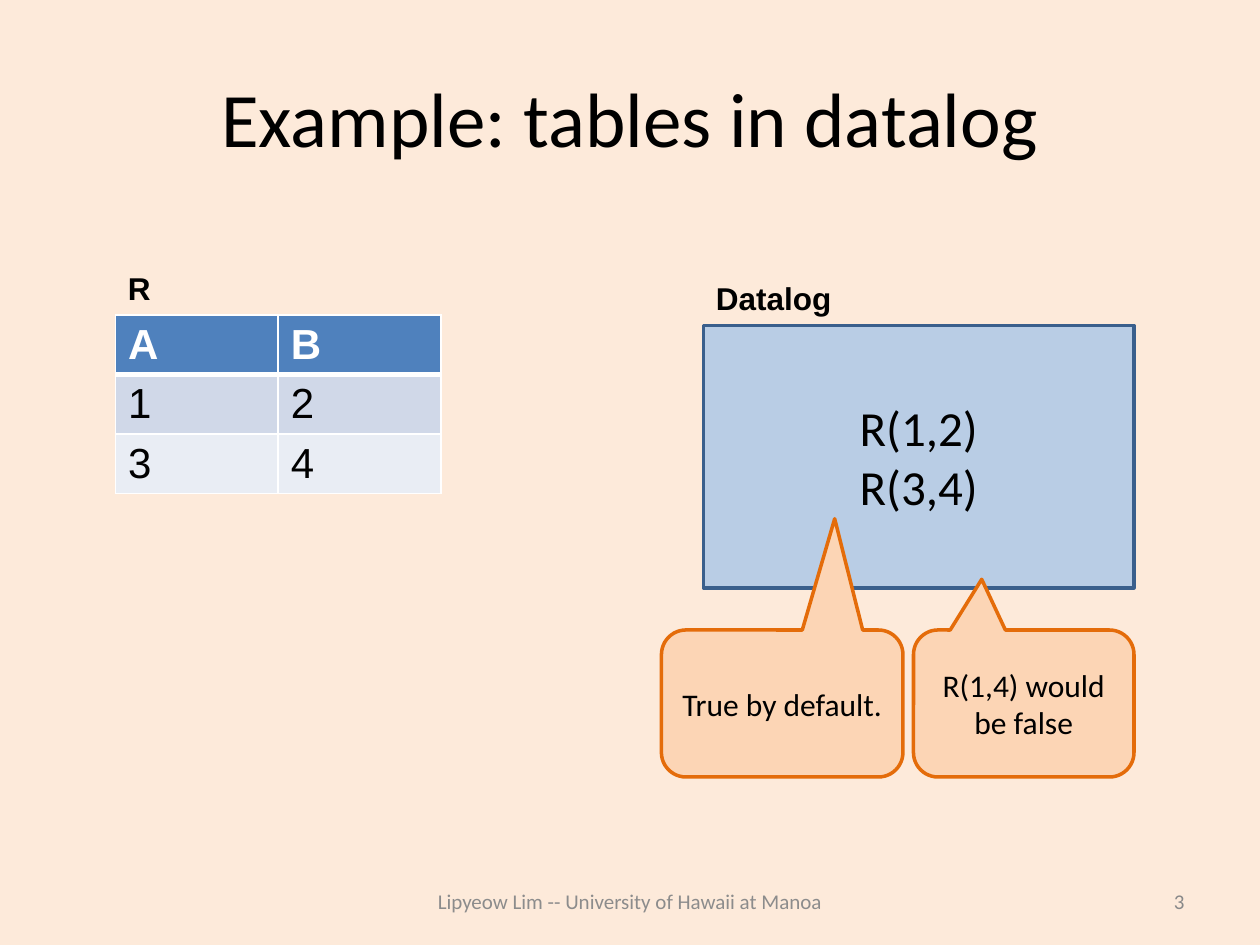
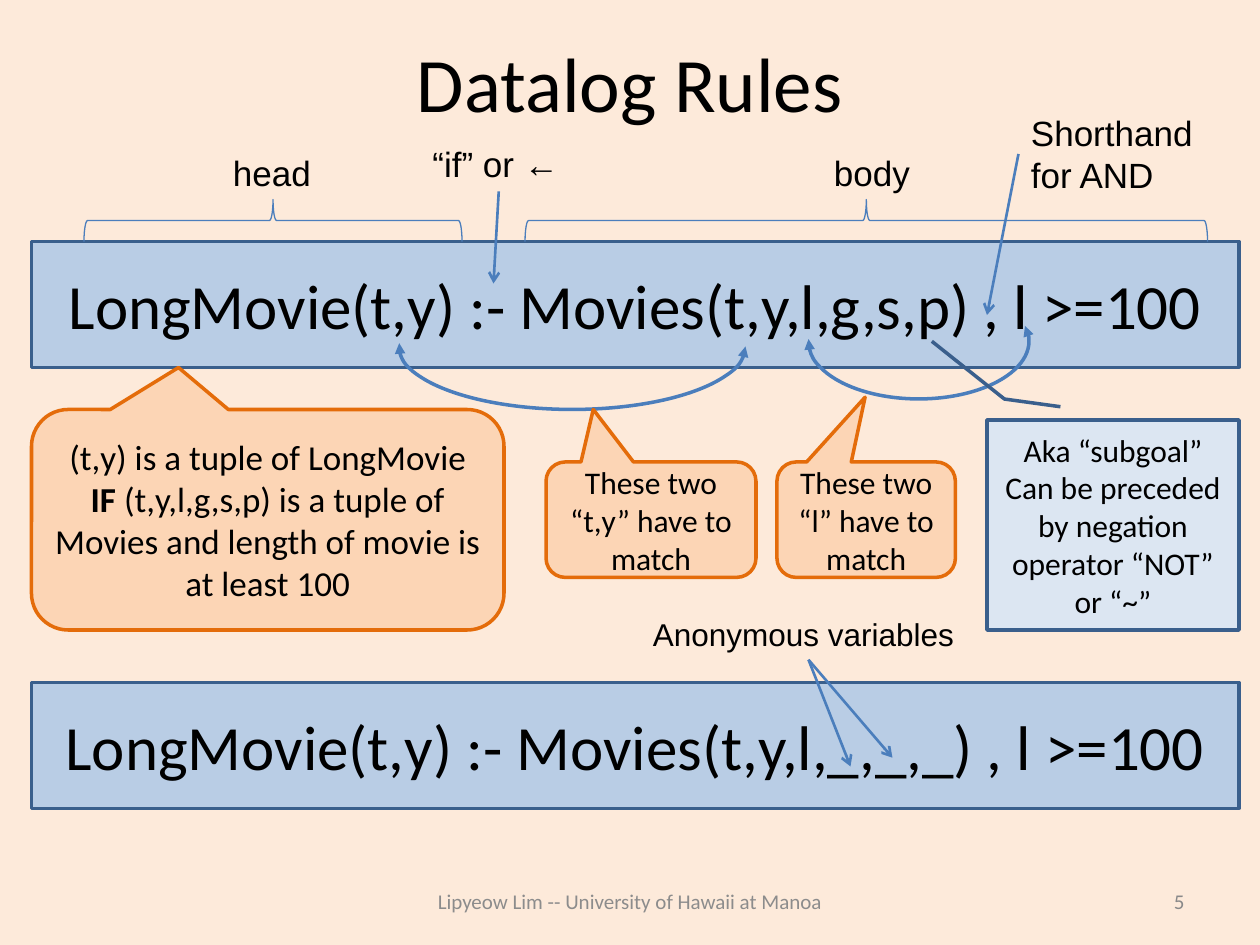
import pptx
import pptx.dml.color
import pptx.enum.shapes
import pptx.enum.text
import pptx.oxml.ns
import pptx.util
from lxml import etree

Pt = pptx.util.Pt
SHAPE = pptx.enum.shapes.MSO_SHAPE
ALIGN = pptx.enum.text.PP_ALIGN
ANCHOR = pptx.enum.text.MSO_ANCHOR
AUTO_SIZE = pptx.enum.text.MSO_AUTO_SIZE

COLOURS = {
    "page": "FDEADA", "ink": "000000", "footer": "8C8C8C", "number": "898989",
    "band": "B9CDE5", "edge": "3A5F8C", "note": "DCE6F2",
    "callout": "FCD5B5", "callout edge": "E46C0A", "pointer": "4B7EBC",
    "head row": "4F81BD", "odd row": "D0D8E8", "even row": "E9EDF4", "white": "FFFFFF",
}
FOOTER = "Lipyeow Lim -- University of Hawaii at Manoa"

# Boxes are (left, top, width, height); points are (x, y).
TABLES_SLIDE = {
    "title": "Example: tables in datalog", "title height": 90, "number": "3",
    "table": {"at": (66, 180), "cell": (93, 34),
              "rows": [("A", "B"), ("1", "2"), ("3", "4")]},
    "bands": [(["R(1,2)", "R(3,4)"], (402, 186, 246, 150), 28)],
    # text, box, size, bold, wrap
    "labels": [("R", (66, 150, 27, 28.8), 18, True, False),
               ("Datalog", (402, 156, 81.4, 28.8), 18, True, False)],
    # text, box, size, tip
    "callouts": [("R(1,4) would be false", (522, 360, 126, 84), 18, (561, 331)),
                 ("True by default.", (378, 360, 138, 84), 18, (477, 296.4))],
}
RULES_SLIDE = {
    "title": "Datalog Rules", "title height": 50.4, "number": "5",
    "bands": [(["LongMovie(t,y) :- Movies(t,y,l,g,s,p) , l >=100"], (18, 138, 690, 72), 36),
              (["LongMovie(t,y) :- Movies(t,y,l,_,_,_) , l >=100"], (18, 390, 690, 72), 36)],
    "braces": [(300, 690), (48, 264)],
    "labels": [("head", (126, 82.8, 60, 31.7), 20, False, False),
               ("body", (469.4, 82.8, 58.3, 31.7), 20, False, False),
               ("“if” or ←", (240, 78, 90, 31.7), 20, False, True),
               ("Shorthand for AND", (582, 60, 120, 55.4), 20, False, True),
               ("Anonymous variables", (366, 348, 192, 28.8), 18, False, True)],
    "arrows": [((285, 109.4), (282, 162)), ((582, 88), (564, 180)),
               ((462, 377), (486, 438)), ((462, 377), (510, 433))],
    # box, start angle, end angle
    "arcs": [((228, 162, 198, 72), 0, 181.09), ((462, 162, 126, 66), 351.8, 181.09)],
    "callouts": [("(t,y) is a tuple of LongMovie **IF** (t,y,l,g,s,p) is a tuple of Movies "
                  "and length of movie is at least 100", (18, 234, 270, 126), 20, (102, 210)),
                 ("These two “t,y” have to match", (312, 264, 120, 66), 18, (339, 234)),
                 ("These two “l” have to match", (444, 264, 102, 66), 18, (494.4, 227))],
    "note": (["Aka “subgoal”", "Can be preceded by negation operator “NOT” or “~”"],
             (564, 240, 144, 120), 18, [(606, 232.4), (574, 228), (532.5, 195)]),
}


def rgb(name):
    return pptx.dml.color.RGBColor.from_string(COLOURS[name])


def pts(values):
    return [Pt(v) for v in values]


def sub(parent, tag, **attributes):
    return etree.SubElement(parent, pptx.oxml.ns.qn(tag), attributes)


def write(tf, paragraphs, size, font="Calibri", colour="ink", bold=False, align=ALIGN.CENTER):
    """Fill a text frame; text between ** marks is bold."""
    for i, text in enumerate(paragraphs):
        p = tf.add_paragraph() if i else tf.paragraphs[0]
        p.alignment = align
        for j, part in enumerate(text.split("**")):
            r = p.add_run()
            r.text = part
            r.font.name, r.font.size = font, Pt(size)
            r.font.bold = bold or j % 2 == 1
            r.font.color.rgb = rgb(colour)


def add_text(s, text, box, size, anchor=ANCHOR.MIDDLE, wrap=True, grow=False, **style):
    tf = s.shapes.add_textbox(*pts(box)).text_frame
    tf.word_wrap = wrap
    tf.auto_size = AUTO_SIZE.SHAPE_TO_FIT_TEXT if grow else AUTO_SIZE.NONE
    tf.vertical_anchor = anchor
    write(tf, [text], size, **style)


def add_shape(s, kind, box, line, width=2, fill=None, paragraphs=(), size=18):
    sp = s.shapes.add_shape(kind, *pts(box))
    sp.shadow.inherit = False
    if fill:
        sp.fill.solid()
        sp.fill.fore_color.rgb = rgb(fill)
    else:
        sp.fill.background()
    sp.line.color.rgb = rgb(line)
    sp.line.width = Pt(width)
    tf = sp.text_frame
    tf.word_wrap = True
    tf.vertical_anchor = ANCHOR.MIDDLE
    write(tf, paragraphs, size)
    return sp


def add_callout(s, text, box, size, tip):
    sp = add_shape(s, SHAPE.ROUNDED_RECTANGULAR_CALLOUT, box, "callout edge",
                   fill="callout", paragraphs=[text], size=size)
    left, top, width, height = box
    sp.adjustments[0] = (tip[0] - left) / width - 0.5
    sp.adjustments[1] = (tip[1] - top) / height - 0.5


def add_note(s, paragraphs, box, size, leader):
    sp = add_shape(s, SHAPE.LINE_CALLOUT_2, box, "edge",
                   fill="note", paragraphs=paragraphs, size=size)
    left, top, width, height = box
    for i, (x, y) in enumerate(leader):
        sp.adjustments[2 * i] = (y - top) / height
        sp.adjustments[2 * i + 1] = (x - left) / width


def add_brace(s, start, end, top=114, depth=24):
    """Draw a brace that opens downwards over start..end."""
    length = end - start
    box = ((start + end - depth) / 2, top + (depth - length) / 2, depth, length)
    add_shape(s, SHAPE.LEFT_BRACE, box, "pointer", width=0.75).rotation = 90


def add_arc(s, box, start, end):
    sp = add_shape(s, SHAPE.ARC, box, "pointer")
    for i, degrees in enumerate((start, end)):
        sp.adjustments[i] = degrees * 0.6
    ln = sp.line._get_or_add_ln()
    sub(ln, "a:headEnd", type="triangle")
    sub(ln, "a:tailEnd", type="triangle")


def add_arrow(s, start, end):
    line = s.shapes.add_connector(pptx.enum.shapes.MSO_CONNECTOR.STRAIGHT, *pts(start + end))
    line.line.color.rgb = rgb("pointer")
    line.line.width = Pt(1.5)
    sub(line.line._get_or_add_ln(), "a:tailEnd", type="arrow")
    sub(line._element.spPr, "a:effectLst")


def add_border(cell, side, width):
    ln = sub(cell._tc.get_or_add_tcPr(), f"a:ln{side}", w=str(Pt(width)))
    sub(sub(ln, "a:solidFill"), "a:srgbClr", val=COLOURS["white"])


def add_table(s, at, cell, rows):
    columns = len(rows[0])
    size = (cell[0] * columns, cell[1] * len(rows))
    table = s.shapes.add_table(len(rows), columns, *pts(at + size)).table
    for column in table.columns:
        column.width = Pt(cell[0])
    for i, row in enumerate(rows):
        table.rows[i].height = Pt(cell[1])
        fill = "head row" if i == 0 else "odd row" if i % 2 else "even row"
        for j, text in enumerate(row):
            c = table.cell(i, j)
            for side in "LRTB":
                under_head = (i, side) in ((0, "B"), (1, "T"))
                add_border(c, side, 3 if under_head else 1)
            c.fill.solid()
            c.fill.fore_color.rgb = rgb(fill)
            write(c.text_frame, [text], 24, "Arial", "ink" if i else "white",
                  bold=i == 0, align=ALIGN.LEFT)


def add_slide(prs, content):
    s = prs.slides.add_slide(prs.slide_layouts[6])
    s.background.fill.solid()
    s.background.fill.fore_color.rgb = rgb("page")
    add_text(s, content["title"], (36, 21.6, 648, content["title height"]), 44)
    add_text(s, FOOTER, (216, 500.4, 288, 28.8), 12, colour="footer")
    add_text(s, content["number"], (516, 500.4, 168, 28.8), 12,
             colour="number", align=ALIGN.RIGHT)

    if "table" in content:
        add_table(s, **content["table"])
    for paragraphs, box, size in content["bands"]:
        add_shape(s, SHAPE.RECTANGLE, box, "edge", fill="band",
                  paragraphs=paragraphs, size=size)
    for span in content.get("braces", []):
        add_brace(s, *span)
    for text, box, size, bold, wrap in content["labels"]:
        add_text(s, text, box, size, anchor=ANCHOR.TOP, wrap=wrap, grow=True,
                 font="Arial", bold=bold, align=ALIGN.LEFT)
    for ends in content.get("arrows", []):
        add_arrow(s, *ends)
    for arc in content.get("arcs", []):
        add_arc(s, *arc)
    for callout in content["callouts"]:
        add_callout(s, *callout)
    if "note" in content:
        add_note(s, *content["note"])


def main():
    prs = pptx.Presentation()
    prs.slide_width, prs.slide_height = Pt(720), Pt(540)
    for content in (TABLES_SLIDE, RULES_SLIDE):
        add_slide(prs, content)
    prs.save("out.pptx")


if __name__ == "__main__":
    main()
